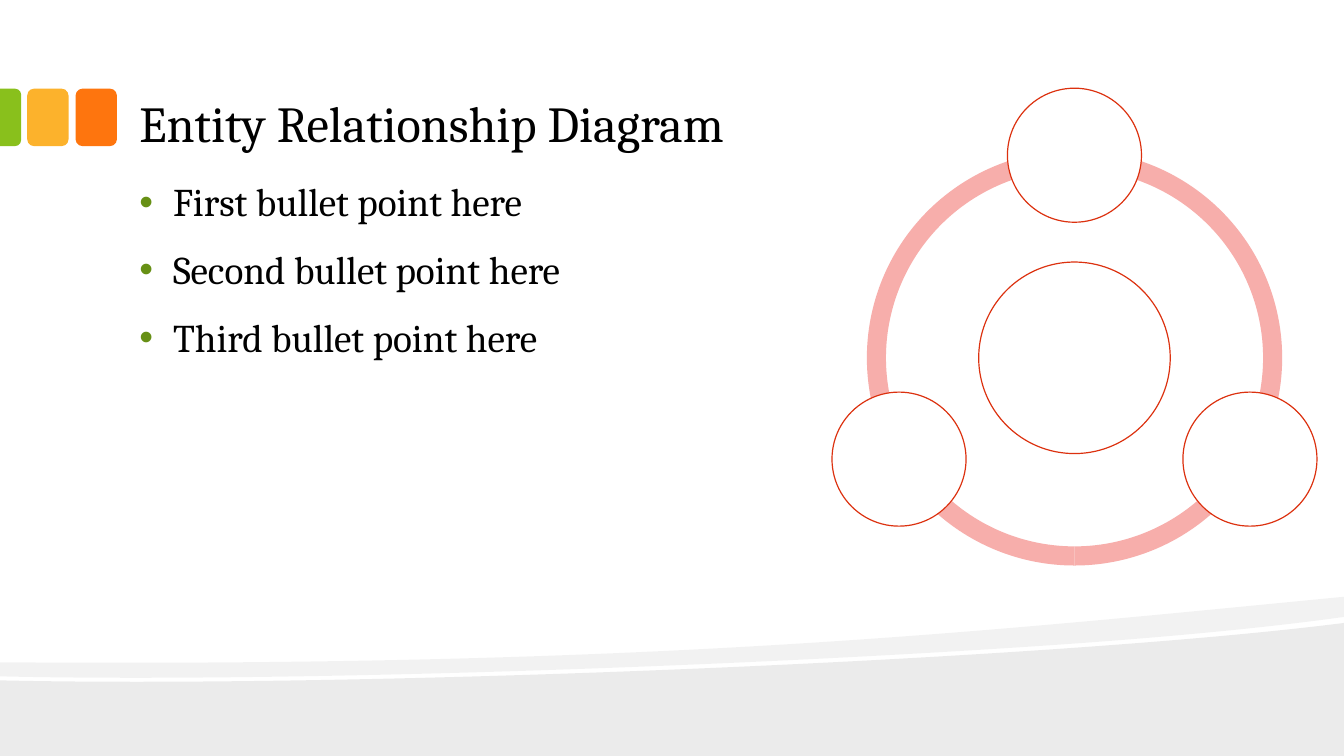
from dataclasses import dataclass
from math import cos, radians, sin

from lxml import etree
from pptx import Presentation
from pptx.dml.color import RGBColor
from pptx.enum.shapes import MSO_SHAPE as SHAPE
from pptx.enum.text import MSO_ANCHOR as ANCHOR
from pptx.oxml.ns import qn
from pptx.util import Inches, Pt

WIDTH, HEIGHT = 40 / 3, 7.5
INDENT = Inches(1 / 3)


@dataclass(frozen=True)
class Theme:
    font: str = "Cambria"
    title_size: int = 36
    body_size: int = 28
    text: str = "000000"
    paper: str = "FFFFFF"
    bullet: str = "679015"
    green: str = "89C01C"
    yellow: str = "FCB22C"
    orange: str = "FE750E"
    ring: str = "F7AEAB"
    outline: str = "DC310F"


THEME = Theme()


def set_fill(shape, color):
    shape.shadow.inherit = False
    shape.fill.solid()
    shape.fill.fore_color.rgb = RGBColor.from_string(color)
    shape.line.fill.background()


def add_shape(s, kind, x, y, w, h, color):
    shape = s.shapes.add_shape(kind, Inches(x), Inches(y), Inches(w), Inches(h))
    set_fill(shape, color)
    return shape


def bend(shape, first):
    """Turn three line segments, counted from first, into one cubic curve."""
    outline = next(shape._element.iter(qn("a:path")))
    lines = outline.findall(qn("a:lnTo"))[first:first + 3]
    curve = etree.Element(qn("a:cubicBezTo"))
    lines[0].addprevious(curve)
    for line in lines:
        curve.append(line[0])
        outline.remove(line)


def add_wave(s, points, curve_starts, opacity):
    """Add a closed black outline, opacity in percent."""
    start, *rest = [(Inches(x), Inches(y)) for x, y in points]
    builder = s.shapes.build_freeform(*start)
    builder.add_line_segments(rest, close=True)
    wave = builder.convert_to_shape()
    # Last curve first, so that the earlier segments keep their numbers.
    for first in sorted(curve_starts, reverse=True):
        bend(wave, first)
    set_fill(wave, THEME.text)
    rgb = wave._element.spPr.find(qn("a:solidFill")).find(qn("a:srgbClr"))
    etree.SubElement(rgb, qn("a:alpha"), val=str(opacity * 1000))


def add_waves(s):
    ground = [(WIDTH, 6.18), (WIDTH, HEIGHT), (0, HEIGHT), (0, 6.75),
              (3.52, 6.83), (10.42, 6.55), (WIDTH, 6.18)]
    add_wave(s, ground, [3], 8)
    band = [(WIDTH, 5.92), (WIDTH, 6.12),
            (12.55, 6.23), (11.49, 6.33), (10.29, 6.41),
            (6.98, 6.63), (2.58, 6.77), (0, 6.71), (0, 6.57),
            (6.52, 6.62), (9.71, 6.27), (WIDTH, 5.92)]
    add_wave(s, band, [1, 4, 8], 5)


def add_tabs(s):
    for x, color in ((0.75, THEME.orange), (0.27, THEME.yellow)):
        add_shape(s, SHAPE.ROUNDED_RECTANGLE, x, 0.88, 0.41, 0.57, color)
    edge = add_shape(s, SHAPE.ROUND_2_SAME_RECTANGLE, -0.18, 1.06, 0.57, 0.21, THEME.green)
    edge.rotation = 90
    edge.adjustments[0] = 0.292


def add_text_box(s, x, y, w, h, anchor):
    tf = s.shapes.add_textbox(Inches(x), Inches(y), Inches(w), Inches(h)).text_frame
    tf.word_wrap = True
    tf.vertical_anchor = anchor
    tf.margin_left = tf.margin_right = Inches(2 / 15)
    tf.margin_top = tf.margin_bottom = Inches(1 / 15)
    return tf


def add_run(p, text, size):
    r = p.add_run()
    r.text = text
    r.font.name = THEME.font
    r.font.size = Pt(size)
    r.font.color.rgb = RGBColor.from_string(THEME.text)


def set_bullet(p):
    pPr = p._p.get_or_add_pPr()
    pPr.set("marL", str(INDENT))
    pPr.set("indent", str(-INDENT))
    color = etree.SubElement(pPr, qn("a:buClr"))
    etree.SubElement(color, qn("a:srgbClr"), val=THEME.bullet)
    etree.SubElement(pPr, qn("a:buFont"), typeface="Arial")
    etree.SubElement(pPr, qn("a:buChar"), char="•")


def add_title(s, text):
    tf = add_text_box(s, 1.25, 0.17, 10.66, 1.41, ANCHOR.BOTTOM)
    add_run(tf.paragraphs[0], text, THEME.title_size)


def add_bullets(s, lines):
    tf = add_text_box(s, 1.25, 1.75, 5.33, 5, ANCHOR.TOP)
    for i, line in enumerate(lines):
        p = tf.add_paragraph() if i else tf.paragraphs[0]
        p.line_spacing = 0.9
        p.space_before = Pt(18)
        set_bullet(p)
        add_run(p, line, THEME.body_size)


def add_circle(s, cx, cy, size):
    circle = add_shape(s, SHAPE.OVAL, cx - size / 2, cy - size / 2, size, size, THEME.paper)
    circle.line.color.rgb = RGBColor.from_string(THEME.outline)
    circle.line.width = Pt(0.85)


def add_radial_diagram(s, cx, cy):
    ring_size, orbit = 4.12, 2.01
    for start, end in ((90, 162), (18, 90), (162, 18)):
        arc = add_shape(s, SHAPE.BLOCK_ARC, cx - ring_size / 2, cy - ring_size / 2,
                        ring_size, ring_size, THEME.ring)
        # Angles are stored in 1/60000 degree, adjustments in 1/100000.
        arc.adjustments[0] = start * 0.6
        arc.adjustments[1] = end * 0.6
        arc.adjustments[2] = 0.046
    add_circle(s, cx, cy, 1.9)
    for i in range(3):
        angle = radians(-90 + 120 * i)
        add_circle(s, cx + orbit * cos(angle), cy + orbit * sin(angle), 1.33)


def main():
    prs = Presentation()
    prs.slide_width, prs.slide_height = Inches(WIDTH), Inches(HEIGHT)
    s = prs.slides.add_slide(prs.slide_layouts[6])
    add_waves(s)
    add_tabs(s)
    add_title(s, "Entity Relationship Diagram")
    add_bullets(s, ["First bullet point here", "Second bullet point here",
                    "Third bullet point here"])
    add_radial_diagram(s, 10.66, 3.55)
    prs.save("out.pptx")


if __name__ == "__main__":
    main()
